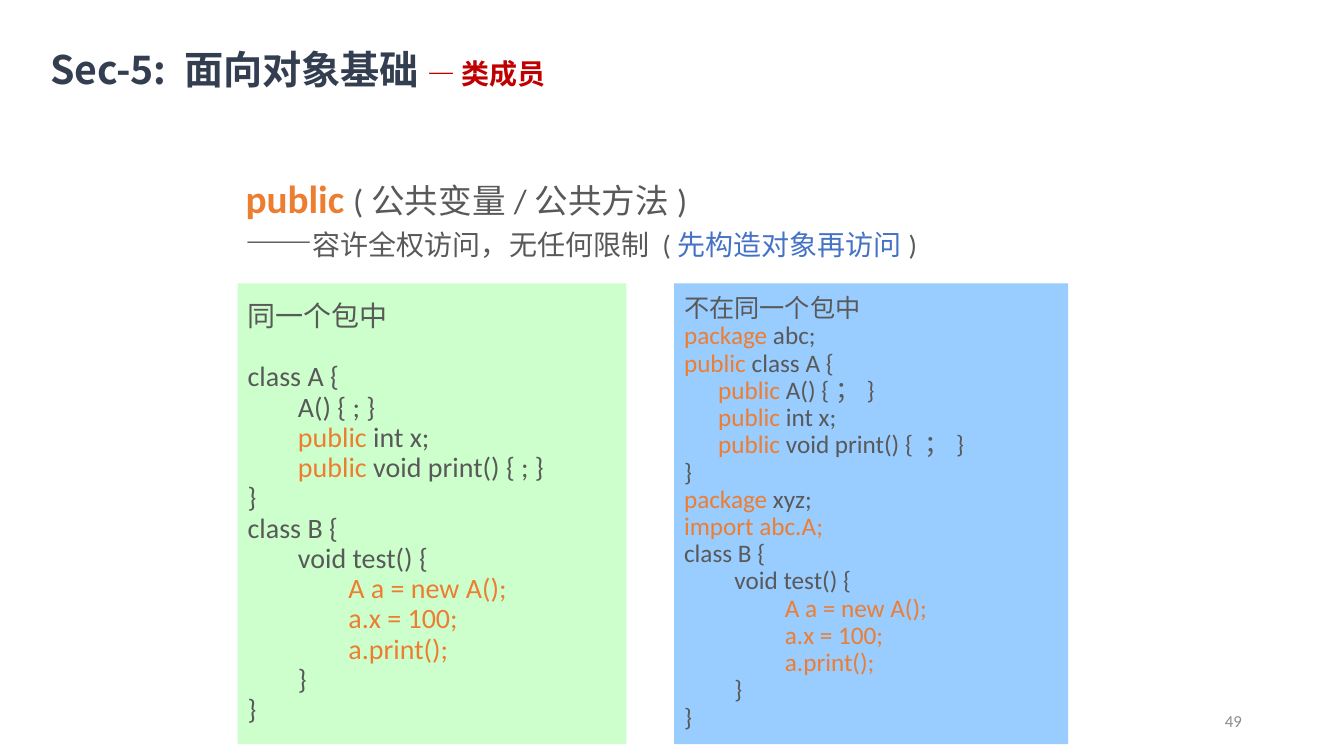
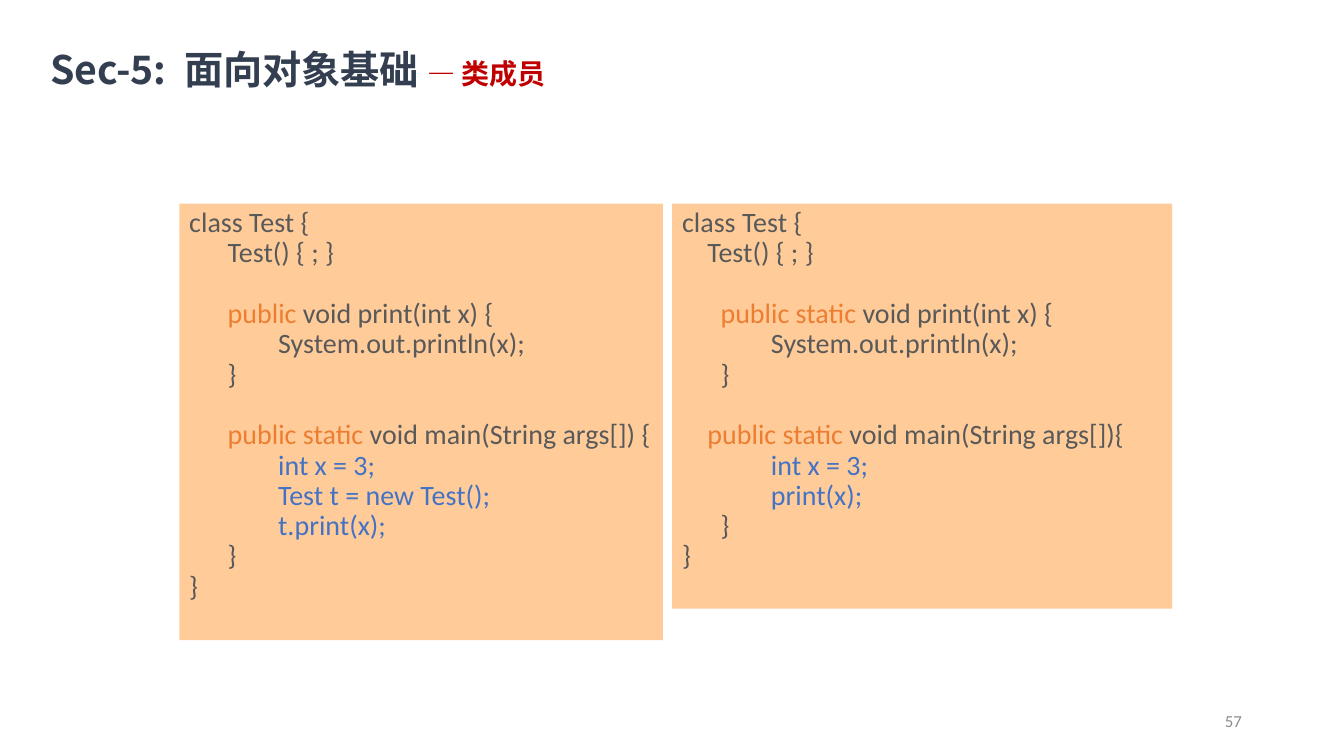
from pptx import Presentation
from pptx.dml.color import RGBColor
from pptx.enum.shapes import MSO_SHAPE
from pptx.enum.text import MSO_ANCHOR, PP_ALIGN
from pptx.oxml.ns import qn
from pptx.util import Cm, Pt
from lxml.etree import SubElement

NAVY = RGBColor(0x33, 0x3F, 0x50)
RED = RGBColor(0xC0, 0x00, 0x00)
GRAY = RGBColor(0x59, 0x59, 0x59)
PALE_GRAY = RGBColor(0x8C, 0x8C, 0x8C)
ORANGE = RGBColor(0xED, 0x7D, 0x31)
BLUE = RGBColor(0x44, 0x72, 0xC4)
GREEN_FILL = RGBColor(0xCC, 0xFF, 0xCC)
BLUE_FILL = RGBColor(0x99, 0xCC, 0xFF)
ORANGE_FILL = RGBColor(0xFF, 0xCC, 0x99)

LATIN = "Calibri"
CJK = "Noto Sans CJK SC"
TAB_STEP = 1.27
GAP = ()

PUBLIC = ("public", ORANGE)
PUBLIC_STATIC = ("public static", ORANGE)
CLASS_B = [
    (0, ("class B {", GRAY)),
    (1, ("void test() {", GRAY)),
    (2, ("A a = new A();", ORANGE)),
    (2, ("a.x = 100;", ORANGE)),
    (2, ("a.print();", ORANGE)),
    (1, ("}", GRAY)),
    (0, ("}", GRAY)),
]
SAME_PACKAGE = [
    (0, ("同一个包中", GRAY)),
    GAP,
    (0, ("class A {", GRAY)),
    (1, ("A() { ; }", GRAY)),
    (1, PUBLIC, (" int x;", GRAY)),
    (1, PUBLIC, (" void print() { ; }", GRAY)),
    (0, ("}", GRAY)),
    *CLASS_B,
]
OTHER_PACKAGE = [
    (0, ("不在同一个包中", GRAY)),
    (0, ("package ", ORANGE), ("abc;", GRAY)),
    (0, PUBLIC, (" class A {", GRAY)),
    (0, ("      ", GRAY), PUBLIC, (" A() {；}", GRAY)),
    (0, ("      ", GRAY), PUBLIC, (" int x;", GRAY)),
    (0, ("      ", GRAY), PUBLIC, (" void print() { ；}", GRAY)),
    (0, ("}", GRAY)),
    (0, ("package", ORANGE), (" xyz;", GRAY)),
    (0, ("import abc.A;", ORANGE)),
    *CLASS_B,
]
INSTANCE_PRINT = [
    (0, ("class Test {", GRAY)),
    (1, ("Test() { ; }", GRAY)),
    GAP,
    (1, PUBLIC, (" void print(int x) {", GRAY)),
    (2, ("System.out.println(x);", GRAY)),
    (1, ("}", GRAY)),
    GAP,
    (1, PUBLIC_STATIC, (" void main(String args[]) {", GRAY)),
    (2, ("int x = 3;", BLUE)),
    (2, ("Test t = new Test();", BLUE)),
    (2, ("t.print(x);", BLUE)),
    (1, ("}", GRAY)),
    (0, ("}", GRAY)),
]
STATIC_PRINT = [
    (0, ("class Test {", GRAY)),
    (0, ("    Test() { ; }", GRAY)),
    GAP,
    (1, PUBLIC_STATIC, (" void print(int x) {", GRAY)),
    (2, ("System.out.println(x);", GRAY)),
    (1, ("}", GRAY)),
    GAP,
    (0, ("    ", GRAY), PUBLIC_STATIC, (" void main(String args[]){", GRAY)),
    (2, ("int x = 3;", BLUE)),
    (2, ("print(x);", BLUE)),
    (1, ("}", GRAY)),
    (0, ("}", GRAY)),
]

PAGES = [
    {
        "number": "49",
        "heading": [
            [("public ", 28, ORANGE, True), ("(公共变量/公共方法)", 24, GRAY, False)],
            [
                ("——", 24, GRAY, False),
                ("容许全权访问，无任何限制 (", 20, GRAY, False),
                ("先构造对象再访问", 20, BLUE, False),
                (")", 20, GRAY, False),
            ],
        ],
        "top": 7.14,
        "anchor": MSO_ANCHOR.MIDDLE,
        "first_tab": 1.27,
        "panels": [
            (5.99, 9.8, 11.61, GREEN_FILL, 20, SAME_PACKAGE),
            (16.99, 9.93, 11.61, BLUE_FILL, 18, OTHER_PACKAGE),
        ],
    },
    {
        "number": "57",
        "heading": [],
        "top": 5.13,
        "anchor": MSO_ANCHOR.TOP,
        "first_tab": 0.97,
        "panels": [
            (4.52, 12.19, 11, ORANGE_FILL, 20, INSTANCE_PRINT),
            (16.94, 12.6, 10.21, ORANGE_FILL, 20, STATIC_PRINT),
        ],
    },
]


def add_run(paragraph, text, size, color, bold=False, latin=LATIN):
    run = paragraph.add_run()
    run.text = text
    run.font.size = Pt(size)
    run.font.bold = bold
    run.font.color.rgb = color
    run.font.name = latin
    SubElement(run.font._element, qn("a:ea")).set("typeface", CJK)
    return run


def add_text_frame(slide, left, top, width, height):
    frame = slide.shapes.add_textbox(Cm(left), Cm(top), Cm(width), Cm(height)).text_frame
    frame.word_wrap = True
    return frame


deck = Presentation()
deck.slide_width = Cm(33.87)
deck.slide_height = Cm(19.05)

for page in PAGES:
    slide = deck.slides.add_slide(deck.slide_layouts[6])

    number = add_text_frame(slide, 23.93, 17.65, 7.62, 1.02)
    number.vertical_anchor = MSO_ANCHOR.MIDDLE
    number.paragraphs[0].alignment = PP_ALIGN.RIGHT
    add_run(number.paragraphs[0], page["number"], 12, PALE_GRAY)

    if page["heading"]:
        heading = add_text_frame(slide, 5.94, 4.27, 21.79, 2.49)
        for index, runs in enumerate(page["heading"]):
            paragraph = heading.add_paragraph() if index else heading.paragraphs[0]
            for text, size, color, bold in runs:
                add_run(paragraph, text, size, color, bold)

    for left, width, height, fill, size, code in page["panels"]:
        panel = slide.shapes.add_shape(
            MSO_SHAPE.RECTANGLE, Cm(left), Cm(page["top"]), Cm(width), Cm(height)
        )
        panel.shadow.inherit = False
        panel.fill.solid()
        panel.fill.fore_color.rgb = fill
        panel.line.fill.background()
        listing = panel.text_frame
        listing.word_wrap = True
        listing.vertical_anchor = page["anchor"]
        for index, line in enumerate(code):
            if line == GAP:
                continue
            depth, *runs = line
            paragraph = listing.add_paragraph() if index else listing.paragraphs[0]
            paragraph.alignment = PP_ALIGN.LEFT
            paragraph.line_spacing = 0.9
            if index and code[index - 1] == GAP:
                paragraph.space_before = Pt(size * 1.09)
            if depth:
                margin = Cm(page["first_tab"] + (depth - 1) * TAB_STEP)
                paragraph._p.get_or_add_pPr().set("marL", str(margin))
            for text, color in runs:
                add_run(paragraph, text, size, color)

    title = add_text_frame(slide, 1.27, 1.07, 18.67, 1.22)
    title.margin_left = title.margin_right = title.margin_bottom = 0
    title.margin_top = Cm(0.06)
    for text, size, color in (("Sec-5: 面向对象基础 ", 28, NAVY), ("— 类成员", 20, RED)):
        run = add_run(title.paragraphs[0], text, size, color, True, CJK)
        run.font._element.set("spc", "-10")

deck.save("out.pptx")
